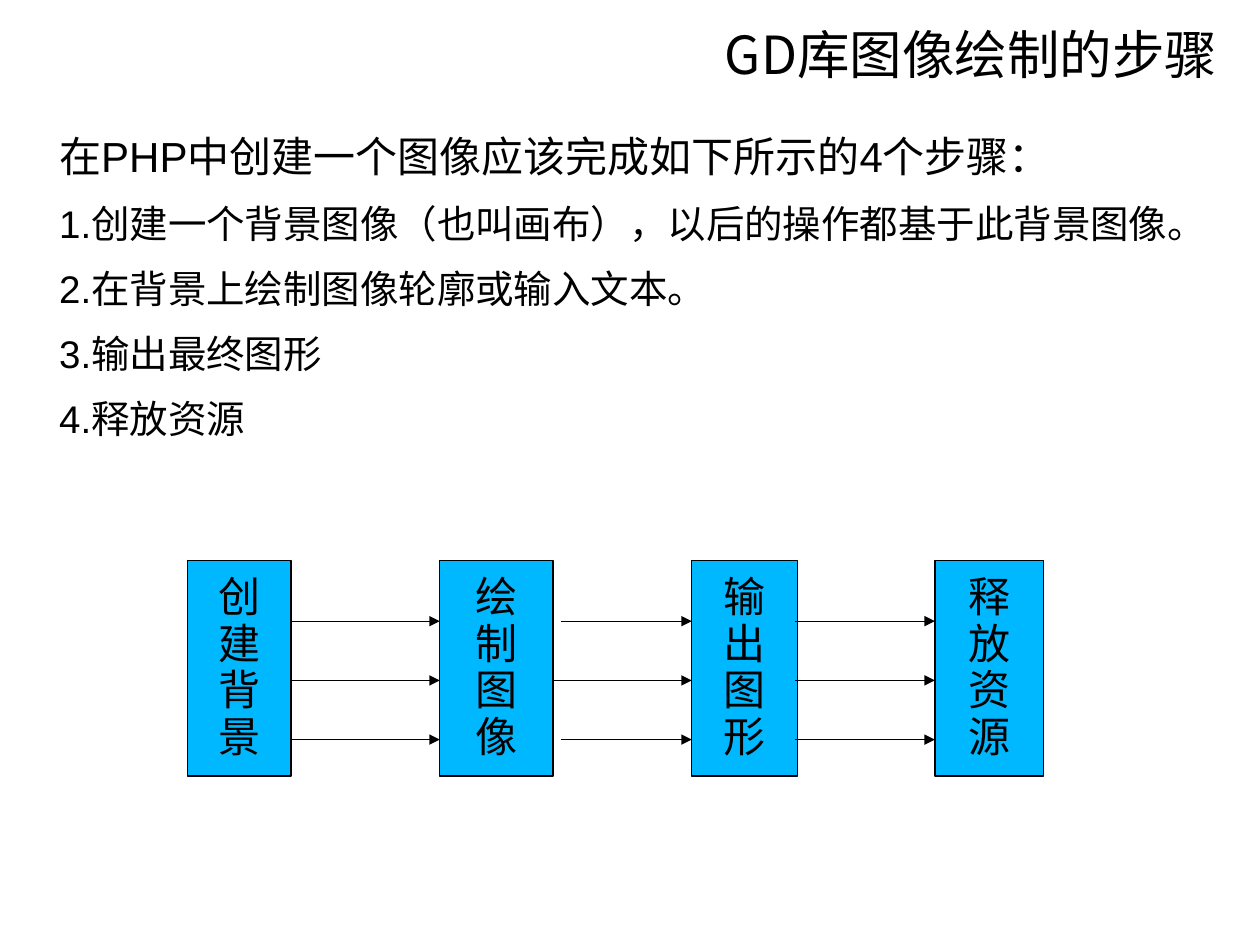
from lxml import etree
from pptx import Presentation
from pptx.dml.color import RGBColor
from pptx.enum.shapes import MSO_CONNECTOR, MSO_SHAPE
from pptx.enum.text import MSO_ANCHOR, PP_ALIGN
from pptx.oxml.ns import qn
from pptx.util import Inches, Pt

BLACK = RGBColor(0x00, 0x00, 0x00)
BLUE = RGBColor(0x00, 0xB8, 0xFF)
CJK_FONT = "Noto Sans CJK SC"
RECTANGLE = MSO_SHAPE.RECTANGLE
STRAIGHT = MSO_CONNECTOR.STRAIGHT
TOP, MIDDLE = MSO_ANCHOR.TOP, MSO_ANCHOR.MIDDLE
LEFT, CENTER, RIGHT = PP_ALIGN.LEFT, PP_ALIGN.CENTER, PP_ALIGN.RIGHT

TITLE = "GD库图像绘制的步骤"
INTRO = "在PHP中创建一个图像应该完成如下所示的4个步骤："
STEPS = [
    "1.创建一个背景图像（也叫画布），以后的操作都基于此背景图像。",
    "2.在背景上绘制图像轮廓或输入文本。",
    "3.输出最终图形",
    "4.释放资源",
]

# label, left, width
STAGES = [
    ("创建背景", 1.49, 0.82),
    ("绘制图像", 3.49, 0.9),
    ("输出图形", 5.49, 0.84),
    ("释放资源", 7.42, 0.86),
]
STAGE_TOP, STAGE_HEIGHT = 4.45, 1.71
ARROW_ROWS = [4.93, 5.4, 5.87]
# start of each row's arrow, then the shared end, for every gap between stages
ARROW_GAPS = [
    ((2.31, 2.31, 2.31), 3.49),
    ((4.45, 4.38, 4.45), 5.49),
    ((6.31, 6.31, 6.31), 7.42),
]


class SlideBuilder:
    """Holds the line style and the slide being filled."""

    def __init__(self, page, line_width=0.75):
        self.page = page
        self.line_width = Pt(line_width)

    def fill_text(self, shape, lines, font, sizes, align, anchor):
        """Write one paragraph per line and return the paragraphs."""
        frame = shape.text_frame
        frame.word_wrap = True
        frame.vertical_anchor = anchor
        frame.margin_left = frame.margin_right = 0
        frame.margin_top = frame.margin_bottom = 0
        frame.text = "\n".join(lines)
        for para, size in zip(frame.paragraphs, sizes):
            para.alignment = align
            for span in para.runs:
                span.font.size = Pt(size)
                span.font.name = font
                span.font.color.rgb = BLACK
                east_asian = etree.SubElement(span.font._element, qn("a:ea"))
                east_asian.set("typeface", CJK_FONT)
        return frame.paragraphs

    def text(self, left, top, width, height, lines, font, sizes,
             align=LEFT, anchor=TOP):
        box = self.page.shapes.add_textbox(
            Inches(left), Inches(top), Inches(width), Inches(height))
        return self.fill_text(box, lines, font, sizes, align, anchor)

    def stage(self, label, left, width):
        """Add a blue box with its label running downwards."""
        box = self.page.shapes.add_shape(
            RECTANGLE, Inches(left), Inches(STAGE_TOP),
            Inches(width), Inches(STAGE_HEIGHT))
        box.shadow.inherit = False
        box.fill.solid()
        box.fill.fore_color.rgb = BLUE
        box.line.color.rgb = BLACK
        box.line.width = self.line_width
        paragraphs = self.fill_text(box, label, "Times New Roman",
                                    [24] * len(label), CENTER, MIDDLE)
        for para in paragraphs:
            para.line_spacing = 0.93

    def arrow(self, start, end, y):
        connector = self.page.shapes.add_connector(
            STRAIGHT, Inches(start), Inches(y), Inches(end), Inches(y))
        connector.line.color.rgb = BLACK
        connector.line.width = self.line_width
        head = etree.SubElement(connector.line._get_or_add_ln(), qn("a:tailEnd"))
        head.set("type", "triangle")
        etree.SubElement(connector._element.spPr, qn("a:effectLst"))


def main():
    deck = Presentation()
    deck.slide_width, deck.slide_height = Inches(10), Inches(7.5)
    builder = SlideBuilder(deck.slides.add_slide(deck.slide_layouts[6]))

    builder.text(2.78, 0.08, 6.88, 0.69, [TITLE], CJK_FONT, [30], RIGHT, MIDDLE)

    body = builder.text(0.35, 0.96, 9.3, 5.5, [INTRO, *STEPS], "Arial",
                        [24] + [22] * len(STEPS))
    for index, para in enumerate(body):
        para.line_spacing = 1.2
        para.space_before = Pt(5.5 if index else 0)
        properties = para._p.get_or_add_pPr()
        properties.set("marL", str(Inches(0.47)))
        properties.set("indent", str(Inches(-0.35)))

    for stage in STAGES:
        builder.stage(*stage)
    for starts, end in ARROW_GAPS:
        for start, y in zip(starts, ARROW_ROWS):
            builder.arrow(start, end, y)

    deck.save("out.pptx")


if __name__ == "__main__":
    main()
